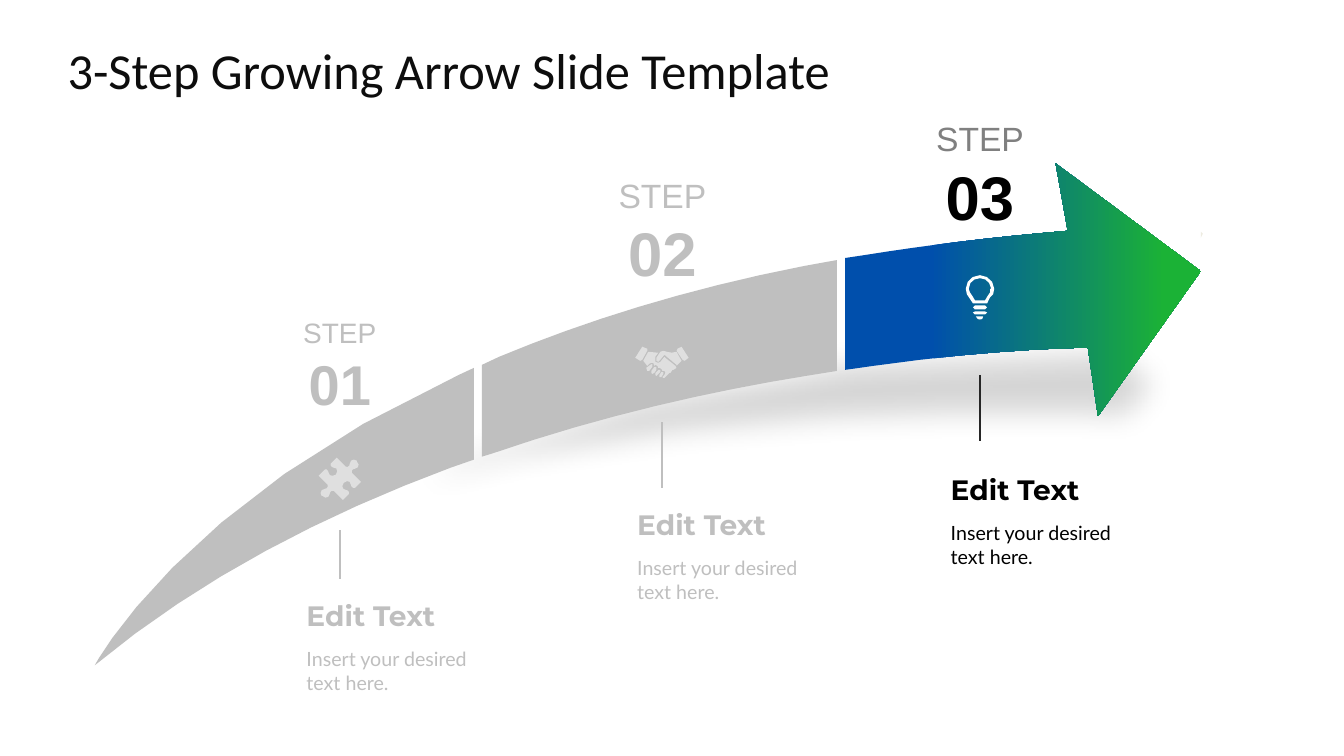
from dataclasses import dataclass

from pptx import Presentation
from pptx import util as u
from pptx.dml.color import RGBColor
from pptx.enum import shapes as kinds, text as t
from pptx.oxml.ns import qn
from pptx.oxml.xmlchemy import OxmlElement

GREY, WHITE, BLACK = "BFBFBF", "FFFFFF", "000000"

# Outlines in hundredths of an inch, measured from the corner of their region
SHADOW = ("M -19 512 C -19 512 236 147 978 160 C 978 140 972 121 973 101 L 1108 215 "
          "L 993 348 L 989 279 C 989 279 321 241 -19 512")
HEAD = ("M 953 0 L 1097 107 L 995 251 L 985 183 C 985 183 899 183 772 201 L 744 205 "
        "L 744 94 L 764 91 C 826 81 893 73 965 67")
MIDDLE = ("M 736 96 L 736 206 L 705 211 C 612 226 504 250 394 288 L 384 291 L 384 200 "
          "L 401 192 C 485 157 585 125 703 102")
TAIL = "M 376 203 L 376 294 L 353 302 C 229 348 105 411 0 498 C 0 498 85 336 361 210"
SPECK = "M 1097 68 L 1099 70 L 1097 74"

PUZZLE = [
    "M 27 32 C 24 32 22 28 25 25 C 28 22 32 23 32 27 C 32 29 35 31 36 30 L 42 24 L 33 15 "
    "C 32 13 34 11 36 11 C 40 11 41 6 38 4 L 38 3 C 35 1 31 2 31 6 C 31 8 29 10 27 9 "
    "L 18 0 L 12 6 C 11 7 13 10 15 10 C 18 9 20 14 17 17 C 14 19 10 18 10 15 "
    "C 10 13 7 10 6 12 L 0 18 L 9 27 C 10 29 8 31 6 31 C 2 31 1 36 3 38 L 4 38 "
    "C 6 41 11 40 11 36 C 11 34 13 32 15 33 L 24 42 L 30 36 C 31 34 29 32 27 32"]
# Small enough for straight edges: four fingers, left cuff, lower hand, right cuff, upper hand
HANDSHAKE = [
    "M 25 30 L 24 30 L 24 28 L 26 25 L 28 25 L 28 27 L 26 30",
    "M 21 29 L 20 28 L 20 26 L 23 23 L 25 23 L 25 25 L 22 28",
    "M 17 27 L 16 26 L 16 24 L 19 20 L 21 20 L 21 23 L 19 26",
    "M 13 24 L 12 24 L 11 21 L 15 18 L 17 17 L 17 20 L 14 24",
    "M 0 11 L 5 14 L 7 13 L 12 4 L 12 2 L 7 0",
    "M 40 19 L 30 11 L 29 10 L 25 15 L 23 16 L 20 15 L 20 10 L 23 6 L 13 5 L 8 14 L 12 19 "
    "L 14 17 L 16 16 L 18 16 L 19 19 L 20 18 L 22 19 L 23 21 L 24 21 L 26 22 L 27 24 L 29 24 "
    "L 30 26 L 29 28 L 27 30 L 28 31 L 29 31 L 32 28 L 34 26 L 35 26 L 37 23 L 38 23 L 41 21",
    "M 53 11 L 49 14 L 47 13 L 41 4 L 42 2 L 46 0",
    "M 41 5 C 36 7 32 5 28 4 L 25 5 L 21 11 L 21 14 L 23 15 L 24 14 L 29 8 L 41 18 L 41 19 L 46 14"]
BULB = [
    "M 9 30 L 19 30 L 21 32 L 19 34 L 9 34 L 7 32",
    "M 9 36 L 19 36 L 21 37 L 19 39 L 9 39 L 7 37",
    "M 10 41 C 11 43 12 44 14 44 C 16 44 17 43 17 41",
    "M 14 0 C 6 0 0 6 0 13 L 0 14 L 1 19 L 3 22 L 7 28 L 21 28 L 24 22 L 27 19 L 28 14 L 28 13 "
    "C 28 6 21 0 14 0 M 24 14 L 24 17 L 22 20 L 19 25 L 9 25 L 6 20 L 4 17 L 3 14 L 3 13 "
    "C 3 7 8 3 14 3 C 20 3 24 7 25 13"]


@dataclass
class Step:
    number: str
    center: float
    number_top: float
    line_top: float
    line_bottom: float
    caption_left: float
    caption_top: float
    icon: list
    icon_corner: tuple
    icon_opacity: int = 50
    label_size: int = 24
    number_size: int = 44
    label_color: str = GREY
    line_color: str = GREY
    color: str = GREY


STEPS = [
    Step("01", 3.37, 3.13, 5.26, 5.74, 3.04, 5.88, PUZZLE, (3.16, 4.54),
         label_size=20, number_size=40),
    Step("02", 6.57, 1.8, 4.19, 4.84, 6.32, 4.98, HANDSHAKE, (6.3, 3.44)),
    Step("03", 9.72, 1.24, 3.72, 4.38, 9.43, 4.63, BULB, (9.58, 2.73), icon_opacity=100,
         label_color="808080", line_color="262626", color=BLACK),
]


def rgb(value):
    return RGBColor.from_string(value)


def contours(outline, curve_parts):
    """Turn an outline into lists of points, dividing each curve evenly."""
    result = []
    for piece in outline.replace("M", "|M").replace("L", "|L").replace("C", "|C").split("|")[1:]:
        command, *numbers = piece.split()
        values = [float(number) for number in numbers]
        points = list(zip(values[::2], values[1::2]))
        if command == "M":
            result.append(points)
        elif command == "L":
            result[-1] += points
        else:
            controls = [result[-1][-1], *points]
            for part in range(1, curve_parts + 1):
                s = part / curve_parts
                weights = ((1 - s) ** 3, 3 * s * (1 - s) ** 2, 3 * s * s * (1 - s), s ** 3)
                result[-1].append(tuple(
                    sum(w * point[axis] for w, point in zip(weights, controls))
                    for axis in (0, 1)))
    return result


def add_outline(shapes, corner, outline, color=WHITE, opacity=100, curve_parts=8):
    paths = [[tuple(u.Inches(start + value / 100) for start, value in zip(corner, point))
              for point in contour] for contour in contours(outline, curve_parts)]
    builder = shapes.build_freeform(*paths[0][0], scale=1.0)
    builder.add_line_segments(paths[0][1:], close=True)
    for path in paths[1:]:
        builder.move_to(*path[0])
        builder.add_line_segments(path[1:], close=True)
    shape = builder.convert_to_shape()
    shape.shadow.inherit = False
    shape.line.fill.background()
    shape.fill.solid()
    shape.fill.fore_color.rgb = rgb(color)
    if opacity < 100:
        alpha = OxmlElement("a:alpha")
        alpha.set("val", str(opacity * 1000))
        shape.element.spPr.find(".//" + qn("a:srgbClr")).append(alpha)
    return shape


def write(frame, content, new=False, size=14, font="Arial", color=BLACK, bold=False,
          align=t.PP_ALIGN.LEFT):
    paragraph = frame.add_paragraph() if new else frame.paragraphs[0]
    paragraph.alignment = align
    run = paragraph.add_run()
    run.text = content
    run.font.size, run.font.name, run.font.bold = u.Pt(size), font, bold
    run.font.color.rgb = rgb(color)


def set_frame(frame, anchor, vertical_inset=0, wrap=True):
    frame.word_wrap = wrap
    frame.auto_size = t.MSO_AUTO_SIZE.NONE
    frame.vertical_anchor = anchor
    frame.margin_left = frame.margin_right = 0
    frame.margin_top = frame.margin_bottom = u.Inches(vertical_inset)
    return frame


def add_text_box(slide, box, anchor, vertical_inset=0):
    shape = slide.shapes.add_textbox(*map(u.Inches, box))
    return set_frame(shape.text_frame, anchor, vertical_inset)


def add_title(slide, box):
    title = slide.shapes.title
    title.left, title.top, title.width, title.height = map(u.Inches, box)
    frame = set_frame(title.text_frame, t.MSO_ANCHOR.MIDDLE, wrap=False)
    write(frame, "3-Step Growing Arrow Slide Template", size=36, font="Calibri", color="0D0D0D")


def add_arrow(slide, corner):
    # Soft shadow
    shadow = add_outline(slide.shapes, corner, SHADOW, BLACK, 17)
    soft_edge = OxmlElement("a:softEdge")
    soft_edge.set("rad", str(u.Inches(0.3)))
    shadow.element.spPr.find(qn("a:effectLst")).append(soft_edge)
    # Three segments, the head with a gradient
    segments = slide.shapes.add_group_shape().shapes
    head = add_outline(segments, corner, HEAD)
    head.fill.gradient()
    head.fill.gradient_angle = 0
    for stop, position, color in zip(head.fill.gradient_stops, (0.24, 0.9), ("004FAC", "1BB236")):
        stop.position, stop.color.rgb = position, rgb(color)
    for outline in (MIDDLE, TAIL):
        add_outline(segments, corner, outline, GREY)
    add_outline(slide.shapes, corner, SPECK, "EEECE1")


def add_step(slide, step):
    # Number above the arrow
    frame = add_text_box(slide, (step.center - 0.69, step.number_top, 1.38, 1), t.MSO_ANCHOR.MIDDLE)
    center = t.PP_ALIGN.CENTER
    write(frame, "STEP", size=step.label_size, color=step.label_color, align=center)
    write(frame, step.number, new=True, size=step.number_size, color=step.color, bold=True,
          align=center)
    # Icon
    icon = slide.shapes.add_group_shape().shapes if len(step.icon) > 1 else slide.shapes
    for outline in step.icon:
        add_outline(icon, step.icon_corner, outline, opacity=step.icon_opacity, curve_parts=3)
    # Line down to the caption
    line = slide.shapes.add_connector(
        kinds.MSO_CONNECTOR.STRAIGHT,
        *map(u.Inches, (step.center, step.line_top, step.center, step.line_bottom)))
    line.line.color.rgb, line.line.width = rgb(step.line_color), u.Pt(1.5)
    line.element.spPr.append(OxmlElement("a:effectLst"))
    # Caption
    left, top = step.caption_left, step.caption_top
    frame = add_text_box(slide, (left, top, 1.84, 0.44), t.MSO_ANCHOR.BOTTOM, 0.05)
    write(frame, "Edit Text", size=20, font="Montserrat", color=step.color, bold=True)
    frame = add_text_box(slide, (left, top + 0.49, 1.84, 0.57), t.MSO_ANCHOR.TOP, 0.05)
    write(frame, "Insert your desired text here.", font="Lato", color=step.color)


def main():
    presentation = Presentation()
    presentation.slide_width, presentation.slide_height = u.Inches(13.33), u.Inches(7.5)
    slide = presentation.slides.add_slide(presentation.slide_layouts[5])
    add_arrow(slide, (0.94, 1.62))
    add_title(slide, (0.67, 0.3, 12, 0.78))
    for step in STEPS:
        add_step(slide, step)
    presentation.save("out.pptx")


if __name__ == "__main__":
    main()
